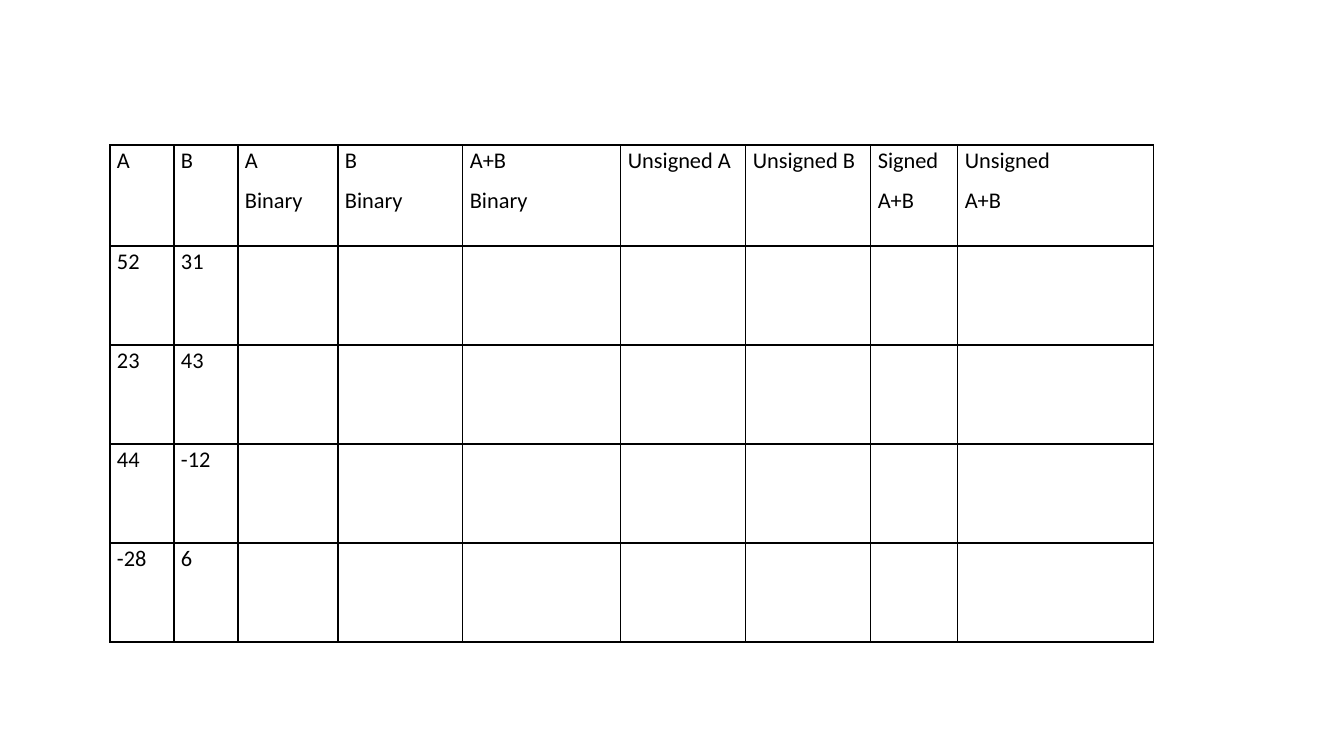
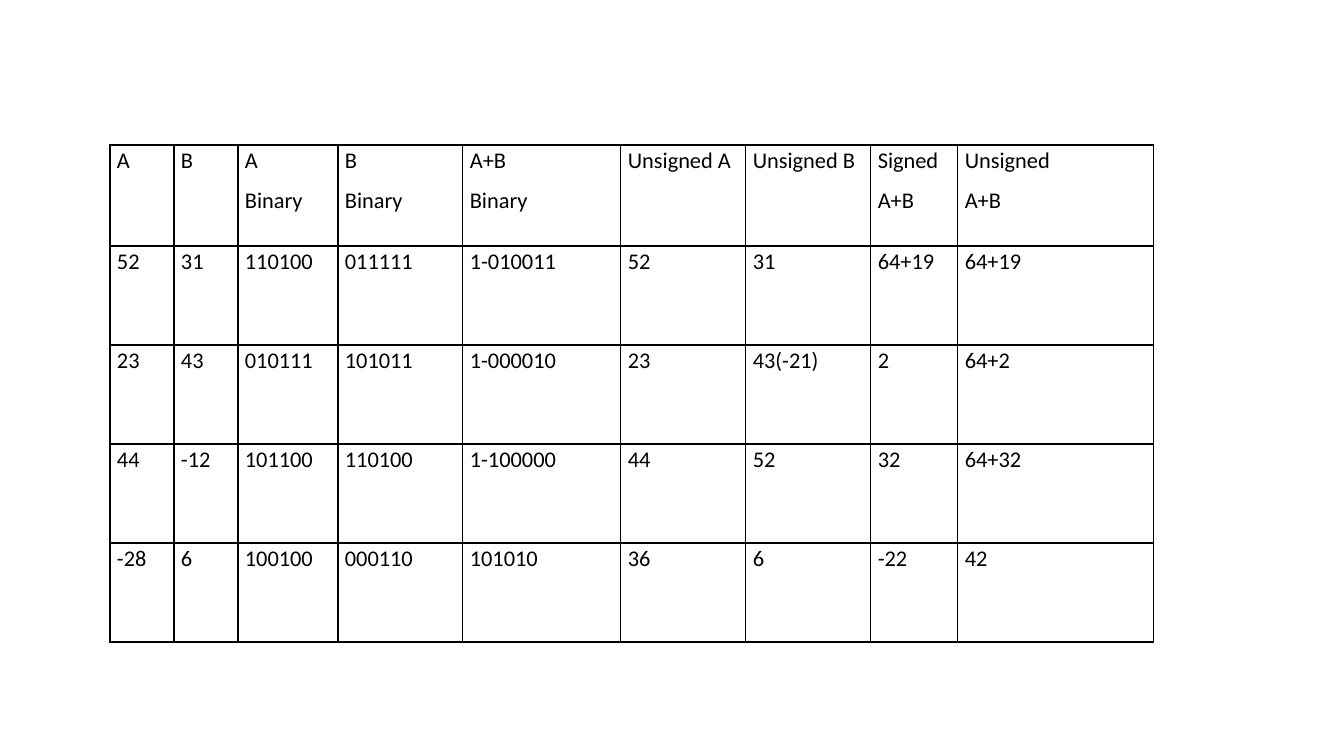
from lxml.etree import SubElement as Sub
from pptx import Presentation
from pptx.dml.color import RGBColor as RGB
from pptx.oxml.ns import qn
from pptx.util import Emu, Pt

SCALE = 914400 / 100.8
INK = "000000"
FONT = "Calibri"
LEFT, TOP = 110, 145
COLS = [64, 64, 100, 125, 158, 125, 125, 87, 196]
ROWS = [101, 99, 99, 99, 99]
PAD = 7

HEAD = ["A", "B", "A\nBinary", "B\nBinary", "A+B\nBinary",
        "Unsigned A", "Unsigned B", "Signed\nA+B", "Unsigned\nA+B"]
SUMS = [
    ["52", "31", "110100", "011111", "1-010011", "52", "31", "64+19", "64+19"],
    ["23", "43", "010111", "101011", "1-000010", "23", "43(-21)", "2", "64+2"],
    ["44", "-12", "101100", "110100", "1-100000", "44", "52", "32", "64+32"],
    ["-28", "6", "100100", "000110", "101010", "36", "6", "-22", "42"],
]
GIVEN = 2


def px(count):
    return Emu(round(count * SCALE))


def color(code):
    return RGB.from_string(code)


def add_rules(cell):
    """Draw a thin line on all four sides of the cell."""
    props = cell._tc.get_or_add_tcPr()
    for side in ("lnL", "lnR", "lnT", "lnB"):
        line = Sub(props, qn(f"a:{side}"), w=str(Pt(1)))
        fill = Sub(line, qn("a:solidFill"))
        Sub(fill, qn("a:srgbClr"), val=INK)


def fill_cell(cell, text):
    add_rules(cell)
    cell.fill.background()
    cell.margin_left = cell.margin_right = px(PAD)
    cell.margin_top = cell.margin_bottom = 0
    cell.text = text
    for para in cell.text_frame.paragraphs:
        para.line_spacing = 1.07
        para.space_after = Pt(8)
        para.font.name = FONT
        para.font.size = Pt(16)
        para.font.color.rgb = color(INK)


def add_grid(slide, rows):
    frame = slide.shapes.add_table(len(ROWS), len(COLS), px(LEFT), px(TOP),
                                   px(sum(COLS)), px(sum(ROWS)))
    table = frame.table
    table.first_row = table.horz_banding = False
    for col, width in zip(table.columns, COLS):
        col.width = px(width)
    for row, height, texts in zip(table.rows, ROWS, rows):
        row.height = px(height)
        for cell, text in zip(row.cells, texts):
            fill_cell(cell, text)


def main():
    deck = Presentation()
    deck.slide_width, deck.slide_height = px(1344), px(756)
    blank = deck.slide_layouts[6]
    gap = [""] * (len(COLS) - GIVEN)
    tasks = [row[:GIVEN] + gap for row in SUMS]
    for body in (tasks, SUMS):
        add_grid(deck.slides.add_slide(blank), [HEAD] + body)
    deck.save("out.pptx")


if __name__ == "__main__":
    main()
